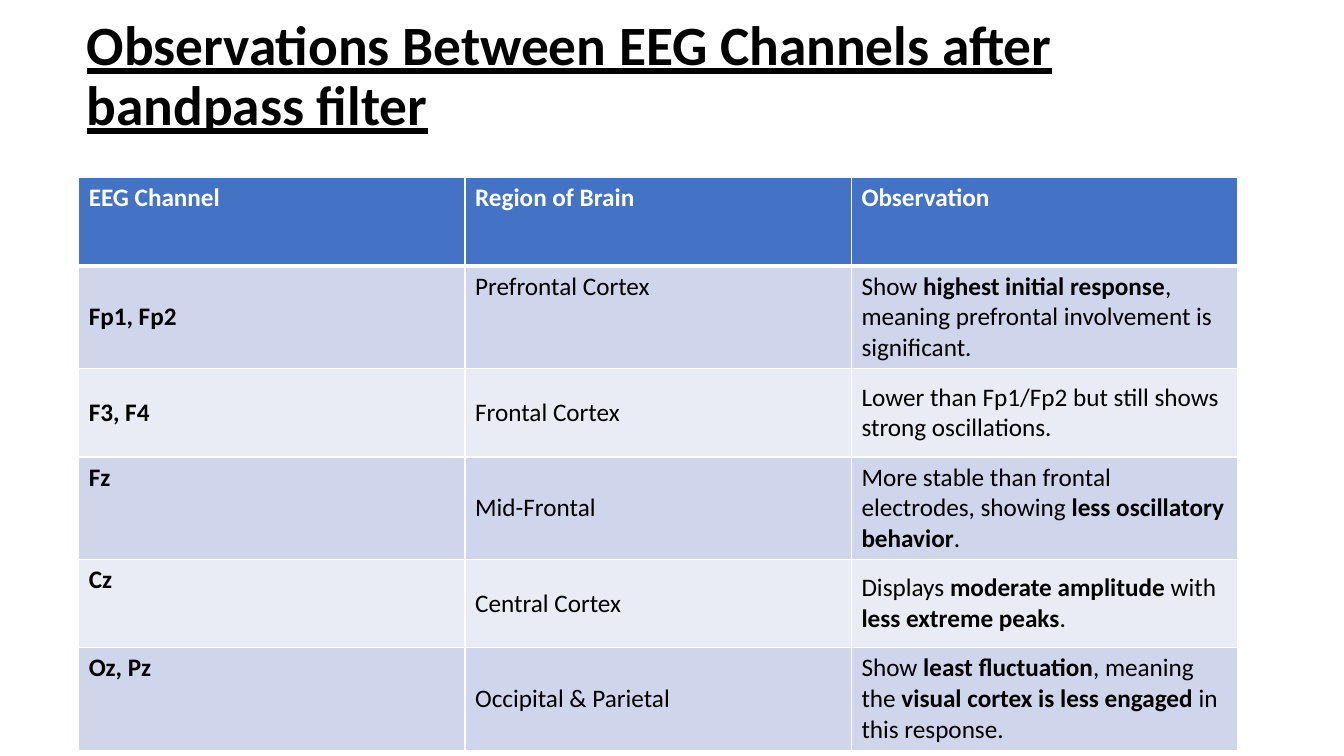
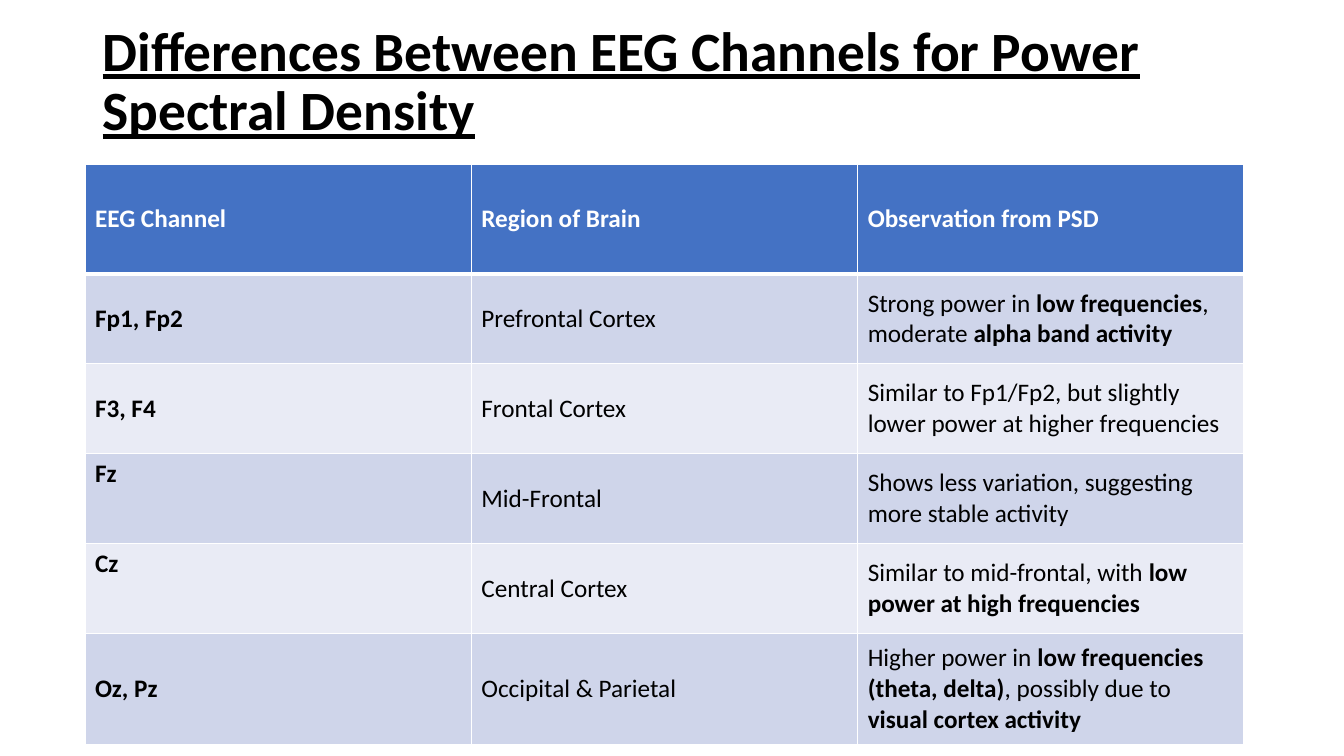
from dataclasses import dataclass

from lxml import etree
from pptx import Presentation
from pptx.dml.color import RGBColor
from pptx.enum import text as t
from pptx.oxml import ns
from pptx.util import Pt

FONT = "Calibri"
HEX = {
    "ink": "000000",
    "white": "FFFFFF",
    "head": "4472C4",
    "odd": "CFD5EA",
    "even": "E9EBF5",
}
WIDE, HIGH = 960, 540
TABLE_W = 828


@dataclass
class Title:
    text: str
    box: tuple[float, float, float, float]
    foot: float  # bottom inset


@dataclass
class Grid:
    left: float
    top: float
    rows: list[float]
    cells: list[list[str]]  # **marks** bold text
    high: set[tuple[int, int]]  # cells with text at the top


@dataclass
class Page:
    title: Title
    grid: Grid


PAGES = [
    Page(
        Title("Observations Between EEG Channels after bandpass filter",
              (54.7, 23, 828, 64.8), 3.6),
        Grid(
            56.2, 126.9, [63.2] * 6,
            [
                ["**EEG Channel**", "**Region of Brain**", "**Observation**"],
                ["**Fp1, Fp2**", "Prefrontal Cortex",
                 "Show **highest initial response**, meaning prefrontal "
                 "involvement is significant."],
                ["**F3, F4**", "Frontal Cortex",
                 "Lower than Fp1/Fp2 but still shows strong oscillations."],
                ["**Fz**", "Mid-Frontal",
                 "More stable than frontal electrodes, showing "
                 "**less oscillatory behavior**."],
                ["**Cz**", "Central Cortex",
                 "Displays **moderate amplitude** with "
                 "**less extreme peaks**."],
                ["**Oz, Pz**", "Occipital & Parietal",
                 "Show **least fluctuation**, meaning the "
                 "**visual cortex is less engaged** in this response."],
            ],
            {(0, 0), (0, 1), (0, 2), (1, 1), (3, 0), (4, 0), (5, 0)},
        ),
    ),
    Page(
        Title("Differences Between EEG Channels for Power Spectral Density",
              (66.2, 28.8, 828, 104.4), 47),
        Grid(
            60.7, 117.5, [78.2] + [64.2] * 4 + [79.7],
            [
                ["**EEG Channel**", "**Region of Brain**",
                 "**Observation from PSD**"],
                ["**Fp1, Fp2**", "Prefrontal Cortex",
                 "Strong power in **low frequencies**, moderate "
                 "**alpha band activity**"],
                ["**F3, F4**", "Frontal Cortex",
                 "Similar to Fp1/Fp2, but slightly lower power at higher "
                 "frequencies"],
                ["**Fz**", "Mid-Frontal",
                 "Shows less variation, suggesting more stable activity"],
                ["**Cz**", "Central Cortex",
                 "Similar to mid-frontal, with "
                 "**low power at high frequencies**"],
                ["**Oz, Pz**", "Occipital & Parietal",
                 "Higher power in **low frequencies (theta, delta)**, "
                 "possibly due to **visual cortex activity**"],
            ],
            {(3, 0), (4, 0)},
        ),
    ),
]


def style(para, size: float, tint: str) -> None:
    para.font.name = FONT
    para.font.size = Pt(size)
    para.font.color.rgb = RGBColor.from_string(HEX[tint])


def put_title(slide, title: Title) -> None:
    shape = slide.shapes.title
    shape.left, shape.top, shape.width, shape.height = map(Pt, title.box)
    frame = shape.text_frame
    frame.text = title.text
    frame.word_wrap = True
    frame.auto_size = t.MSO_AUTO_SIZE.NONE
    frame.vertical_anchor = t.MSO_ANCHOR.MIDDLE
    frame.margin_bottom = Pt(title.foot)
    para = frame.paragraphs[0]
    para.alignment = t.PP_ALIGN.LEFT
    para.line_spacing = 0.9
    style(para, 39.6, "ink")
    para.font.bold = para.font.underline = True


def edge(cell, side: str, width: float) -> None:
    """Draw a white border on one side (L, R, T or B) of a cell."""
    props = cell._tc.get_or_add_tcPr()
    line = etree.SubElement(props, ns.qn(f"a:ln{side}"), w=str(Pt(width)))
    fill = etree.SubElement(line, ns.qn("a:solidFill"))
    etree.SubElement(fill, ns.qn("a:srgbClr"), val=HEX["white"])


def put_cell(cell, words: str, row: int, high: bool) -> None:
    for side in "LRTB":
        thick = (row, side) in {(0, "B"), (1, "T")}
        edge(cell, side, 3 if thick else 1)
    band = "head" if row == 0 else "odd" if row % 2 else "even"
    cell.fill.solid()
    cell.fill.fore_color.rgb = RGBColor.from_string(HEX[band])
    cell.vertical_anchor = t.MSO_ANCHOR.TOP if high else t.MSO_ANCHOR.MIDDLE
    para = cell.text_frame.paragraphs[0]
    style(para, 18, "ink" if row else "white")
    for i, part in enumerate(words.split("**")):
        if part:
            run = para.add_run()
            run.text = part
            run.font.bold = i % 2 == 1


def put_grid(slide, grid: Grid) -> None:
    count = len(grid.cells[0])
    table = slide.shapes.add_table(
        len(grid.rows), count, Pt(grid.left), Pt(grid.top),
        Pt(TABLE_W), Pt(sum(grid.rows))).table
    for col in table.columns:
        col.width = Pt(TABLE_W / count)
    for r, line in enumerate(grid.cells):
        table.rows[r].height = Pt(grid.rows[r])
        for c, words in enumerate(line):
            put_cell(table.cell(r, c), words, r, (r, c) in grid.high)


def main() -> None:
    deck = Presentation()
    deck.slide_width, deck.slide_height = Pt(WIDE), Pt(HIGH)
    only = deck.slide_layouts.get_by_name("Title Only")
    for page in PAGES:
        slide = deck.slides.add_slide(only)
        put_title(slide, page.title)
        put_grid(slide, page.grid)
    deck.save("out.pptx")


if __name__ == "__main__":
    main()
